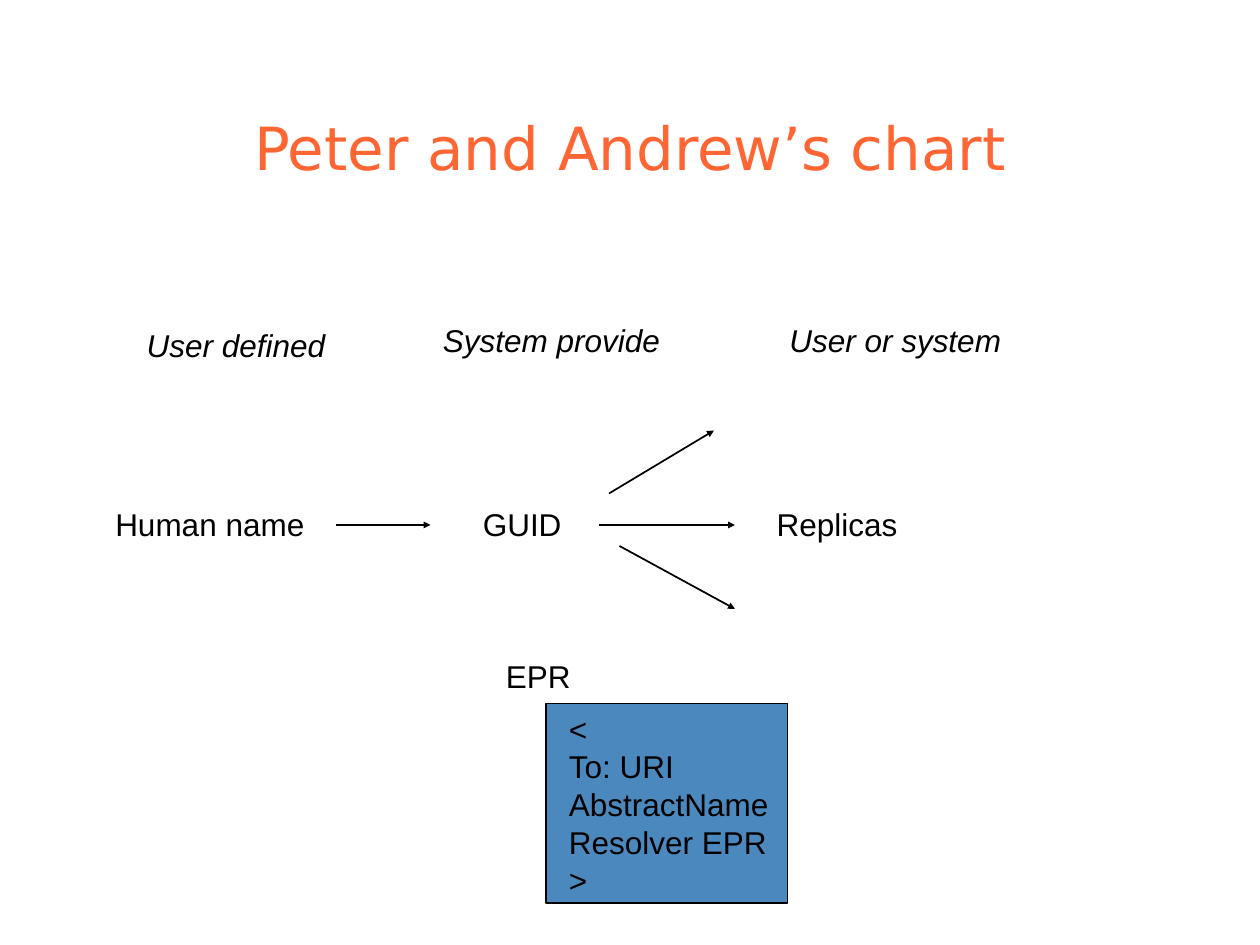
import pptx
import pptx.util
import pptx.dml.color
import pptx.enum.shapes
import pptx.enum.text
import pptx.oxml.ns
import lxml.etree

HUES = {"title": "FF6633", "ink": "000000", "card": "4B88BD", "page": "FFFFFF"}
COLS, ROWS = 120, 90
WIDE, HIGH = pptx.util.Inches(10), pptx.util.Inches(7.5)
BODY = {"size": pptx.util.Pt(18), "name": "Arial", "italic": False}
HEAD = {**BODY, "italic": True}
TITLE = {"size": pptx.util.Pt(34), "name": "DejaVu Sans", "bold": False}
GROW = {"word_wrap": False,
        "auto_size": pptx.enum.text.MSO_AUTO_SIZE.SHAPE_TO_FIT_TEXT}
FIXED = {"word_wrap": True,
         "auto_size": pptx.enum.text.MSO_AUTO_SIZE.NONE,
         "vertical_anchor": pptx.enum.text.MSO_ANCHOR.BOTTOM}
TIP = {"type": "triangle", "w": "sm", "len": "sm"}


def hue(key):
    return pptx.dml.color.RGBColor.from_string(HUES[key])


def grid(col, row):
    return round(WIDE * col / COLS), round(HIGH * row / ROWS)


def apply(item, form):
    for key, value in form.items():
        setattr(item, key, value)


def style(part, form, key):
    apply(part.font, form)
    part.font.color.rgb = hue(key)


def label(slide, box, text, form):
    col, row, wide, high = box
    shape = slide.shapes.add_textbox(*grid(col, row), *grid(wide, high))
    frame = shape.text_frame
    apply(frame, GROW)
    frame.text = text
    for part in frame.paragraphs:
        style(part, form, "ink")


def arrow(slide, start, end):
    kind = pptx.enum.shapes.MSO_CONNECTOR.STRAIGHT
    line = slide.shapes.add_connector(kind, *grid(*start), *grid(*end))
    line.line.color.rgb = hue("ink")
    line.line.width = pptx.util.Pt(1)
    qn = pptx.oxml.ns.qn
    props = line._element.spPr
    lxml.etree.SubElement(props.find(qn("a:ln")), qn("a:tailEnd"), TIP)
    lxml.etree.SubElement(props, qn("a:effectLst"))


def title(slide, box, text):
    shape = slide.shapes.title
    left, top = grid(*box[:2])
    wide, high = grid(*box[2:])
    apply(shape, {"left": left, "top": top, "width": wide, "height": high})
    apply(shape.text_frame, FIXED)
    shape.text_frame.text = text
    part = shape.text_frame.paragraphs[0]
    part.alignment = pptx.enum.text.PP_ALIGN.CENTER
    style(part, TITLE, "title")


def heads(slide, box):
    left, top, wide, high = box
    for text, col, row, span in (
        ("User defined", 0, 0.5, 19.7),
        ("System provide", 28.2, 0, 23.4),
        ("User or system", 61.2, 0, 22.9),
    ):
        label(slide, (left + col, top + row, span, high), text, HEAD)


def flow(slide, box):
    left, top, wide, high = box
    mid = top + high / 2
    for text, col, span in (
        ("Human name", 0, 21.5),
        ("GUID", 35, 10.2),
        ("Replicas", 63, 14.2),
    ):
        label(slide, (left + col, mid - 2.5, span, 4.8), text, BODY)
    for start, end, rise, drop in (
        (22.2, 31.2, 0, 0),
        (47.2, 60.2, 0, 0),
        (49.2, 60.2, 2, 8),
        (48.2, 58.2, -3, -9),
    ):
        arrow(slide, (left + start, mid + rise), (left + end, mid + drop))


def card(slide, box):
    left, top, wide, high = box
    kind = pptx.enum.shapes.MSO_SHAPE.RECTANGLE
    shape = slide.shapes.add_shape(kind, *grid(left, top), *grid(wide, high))
    shape.shadow.inherit = False
    shape.fill.solid()
    shape.fill.fore_color.rgb = hue("card")
    shape.line.color.rgb = hue("ink")
    shape.line.width = pptx.util.Pt(1)
    label(slide, (left - 5, top - 5, 8.9, 4.8), "EPR", BODY)
    rows = ("<", "To: URI", "AbstractName", "Resolver EPR", ">")
    label(slide, (left + 1, top, 21.7, 19.2), "\n".join(rows), BODY)


def main():
    deck = pptx.Presentation()
    apply(deck, {"slide_width": WIDE, "slide_height": HIGH})
    slide = deck.slides.add_slide(deck.slide_layouts[5])
    slide.background.fill.solid()
    slide.background.fill.fore_color.rgb = hue("page")
    title(slide, (9, 8, 102, 10), "Peter and Andrew’s chart")
    heads(slide, (12.8, 30, 84, 4.8))
    flow(slide, (9.8, 41, 77, 18))
    card(slide, (52, 67, 23, 19))
    deck.save("out.pptx")


if __name__ == "__main__":
    main()
